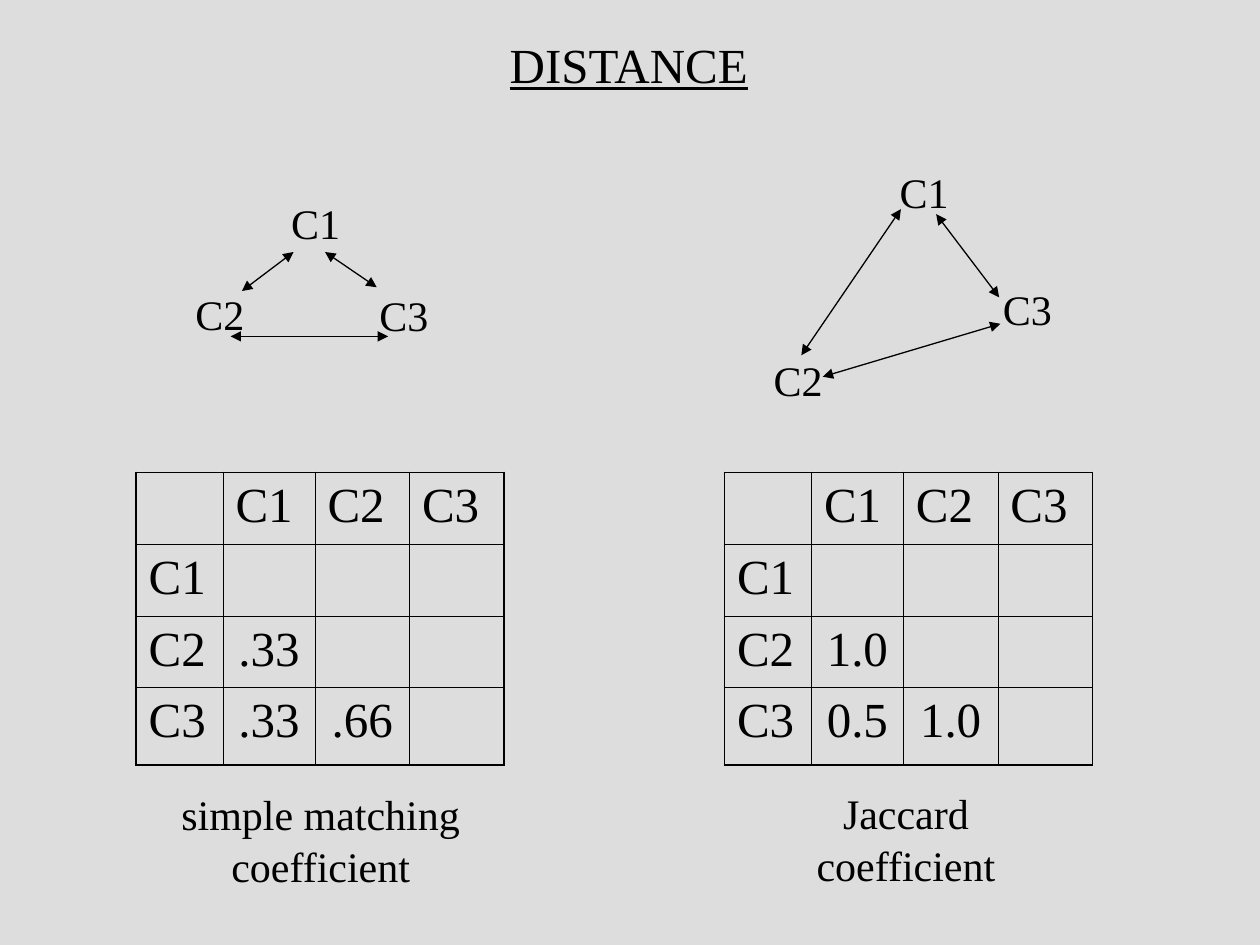
from dataclasses import dataclass

from lxml.etree import SubElement
from pptx import Presentation
from pptx.dml.color import RGBColor
from pptx.enum.shapes import MSO_CONNECTOR as Connector
from pptx.enum.text import MSO_ANCHOR as Anchor, MSO_AUTO_SIZE as AutoSize, PP_ALIGN as Align
from pptx.oxml.ns import qn
from pptx.util import Inches, Pt

COLORS = {"background": "DDDDDD", "ink": "000000"}
FONT = "Times New Roman"
LABELS = ("C1", "C2", "C3")
LABEL_SIZE = (0.67, 0.5)
COL_WIDTHS = (0.69, 0.73, 0.75, 0.75)
ROW_HEIGHTS = (0.57, 0.57, 0.57, 0.61)
TABLE_TOP = 3.75
INNER_BORDER, OUTER_BORDER = 0.45, 1.08

Point = tuple[float, float]
Box = tuple[float, float, float, float]


@dataclass
class Panel:
    table_left: float
    distances: dict[tuple[int, int], str]
    caption: str
    caption_box: Box
    nodes: tuple[Point, ...]
    arrows: tuple[tuple[Point, Point], ...]


PANELS = (
    Panel(
        1.08,
        {(2, 1): ".33", (3, 1): ".33", (3, 2): ".66"},
        "simple matching\ncoefficient",
        (1.34, 6.18, 2.41, 0.9),
        ((2.17, 1.5), (1.41, 2.22), (2.87, 2.23)),
        (((2.33, 2), (1.92, 2.31)), ((2.58, 2), (2.99, 2.28)), ((1.83, 2.67), (3.08, 2.67))),
    ),
    Panel(
        5.75,
        {(2, 1): "1.0", (3, 1): "0.5", (3, 2): "1.0"},
        "Jaccard\ncoefficient",
        (6.38, 6.17, 1.62, 0.9),
        ((7, 1.25), (6, 2.74), (7.82, 2.18)),
        (((7.15, 1.66), (6.36, 2.82)), ((7.43, 1.7), (7.93, 2.36)), ((6.53, 2.99), (7.94, 2.57))),
    ),
)


def rgb(name: str) -> RGBColor:
    return RGBColor.from_string(COLORS[name])


def format_paragraph(p, size: float, align: Align) -> None:
    p.alignment = align
    p.font.name = FONT
    p.font.size = Pt(size)
    p.font.color.rgb = rgb("ink")


def fill_text(sp, text: str, size: float, wrap: bool = True):
    tf = sp.text_frame
    tf.word_wrap = wrap
    tf.auto_size = AutoSize.SHAPE_TO_FIT_TEXT
    tf.vertical_anchor = Anchor.TOP
    tf.margin_left = tf.margin_right = Inches(0.1)
    tf.margin_top, tf.margin_bottom = Inches(0.07), Inches(0.05)
    p = tf.paragraphs[0]
    p.text = text
    format_paragraph(p, size, Align.CENTER)
    return p


def add_label(slide, text: str, box: Box, wrap: bool = True):
    sp = slide.shapes.add_textbox(*map(Inches, box))
    return fill_text(sp, text, 24, wrap)


def add_arrow(slide, start: Point, end: Point) -> None:
    line = slide.shapes.add_connector(Connector.STRAIGHT, *map(Inches, start + end))
    line.line.color.rgb = rgb("ink")
    line.line.width = Pt(0.75)
    ln = line.line._get_or_add_ln()
    for tag in ("a:headEnd", "a:tailEnd"):
        SubElement(ln, qn(tag), type="triangle")
    SubElement(line._element.spPr, qn("a:effectLst"))


def set_borders(cell, outer: dict[str, bool]) -> None:
    tc_pr = cell._tc.get_or_add_tcPr()
    for side, is_outer in outer.items():
        width = Pt(OUTER_BORDER if is_outer else INNER_BORDER)
        ln = SubElement(tc_pr, qn(f"a:ln{side}"), w=str(width))
        fill = SubElement(ln, qn("a:solidFill"))
        SubElement(fill, qn("a:srgbClr"), val=COLORS["ink"])


def add_distance_table(slide, left: float, distances: dict[tuple[int, int], str]) -> None:
    n = len(COL_WIDTHS)
    box = (left, TABLE_TOP, sum(COL_WIDTHS), sum(ROW_HEIGHTS))
    table = slide.shapes.add_table(n, n, *map(Inches, box)).table
    table.first_row = table.horz_banding = False
    for i, (width, height) in enumerate(zip(COL_WIDTHS, ROW_HEIGHTS)):
        table.columns[i].width = Inches(width)
        table.rows[i].height = Inches(height)
    headings = {}
    for i, label in enumerate(LABELS, 1):
        headings[0, i] = headings[i, 0] = label
    texts = headings | distances
    for row in range(n):
        for col in range(n):
            cell = table.cell(row, col)
            set_borders(cell, {"L": col == 0, "R": col == n - 1, "T": row == 0, "B": row == n - 1})
            cell.fill.background()
            if (row, col) in texts:
                p = cell.text_frame.paragraphs[0]
                p.text = texts[row, col]
                format_paragraph(p, 28, Align.CENTER if (row, col) in distances else Align.LEFT)


def add_panel(slide, panel: Panel) -> None:
    add_distance_table(slide, panel.table_left, panel.distances)
    for label, node in zip(LABELS, panel.nodes):
        add_label(slide, label, node + LABEL_SIZE)
    for start, end in panel.arrows:
        add_arrow(slide, start, end)
    caption = add_label(slide, panel.caption, panel.caption_box, wrap=False)
    caption.line_spacing = 1.03


def add_title(slide, text: str) -> None:
    title = slide.shapes.title
    title.left, title.top, title.width, title.height = map(Inches, (3.28, 0.2, 3.42, 0.57))
    fill_text(title, text, 28).font.underline = True


def main() -> None:
    prs = Presentation()
    prs.slide_width, prs.slide_height = Inches(10), Inches(7.5)
    slide = prs.slides.add_slide(prs.slide_layouts.get_by_name("Title Only"))
    slide.background.fill.solid()
    slide.background.fill.fore_color.rgb = rgb("background")
    add_title(slide, "DISTANCE")
    for panel in PANELS:
        add_panel(slide, panel)
    prs.save("out.pptx")


if __name__ == "__main__":
    main()
